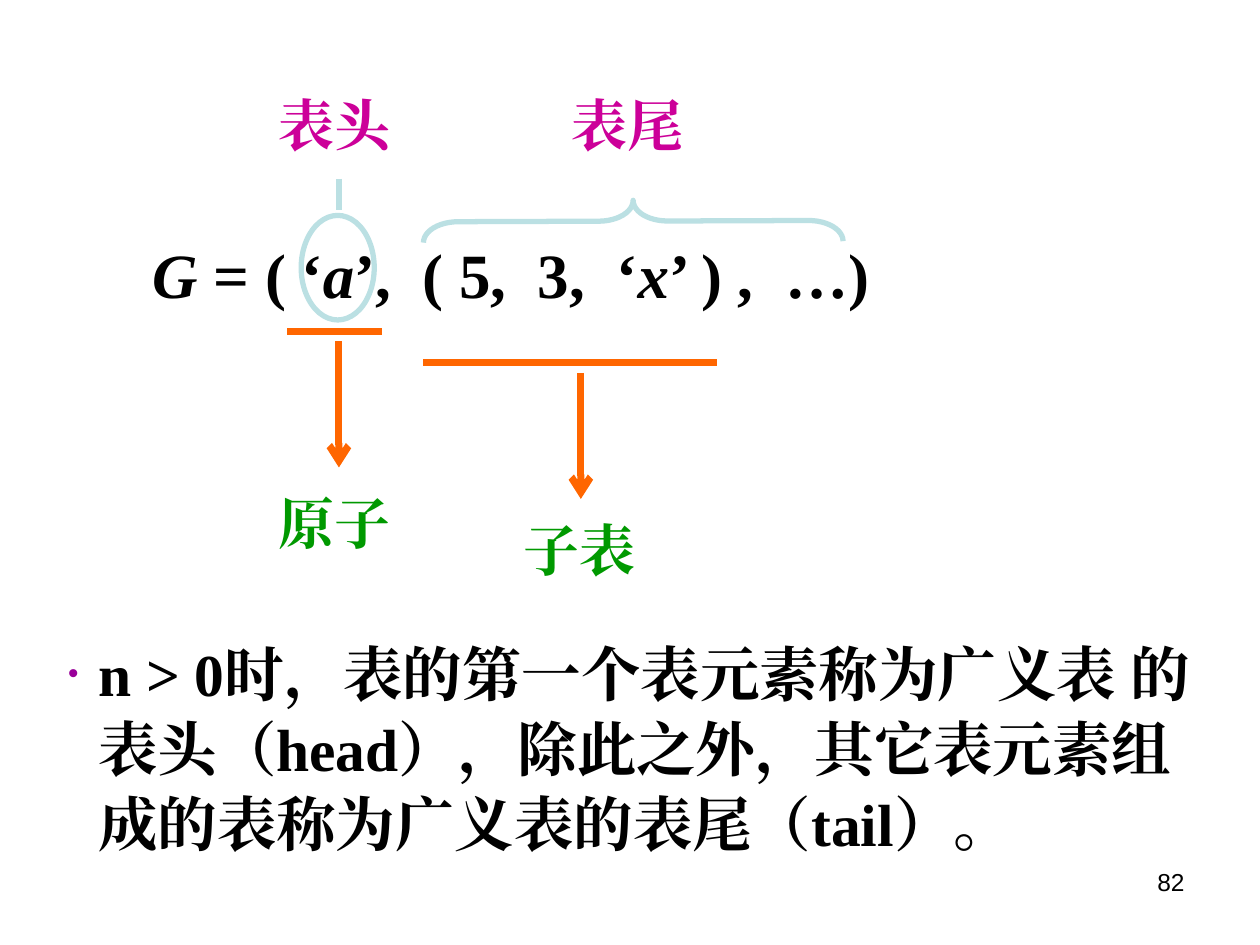
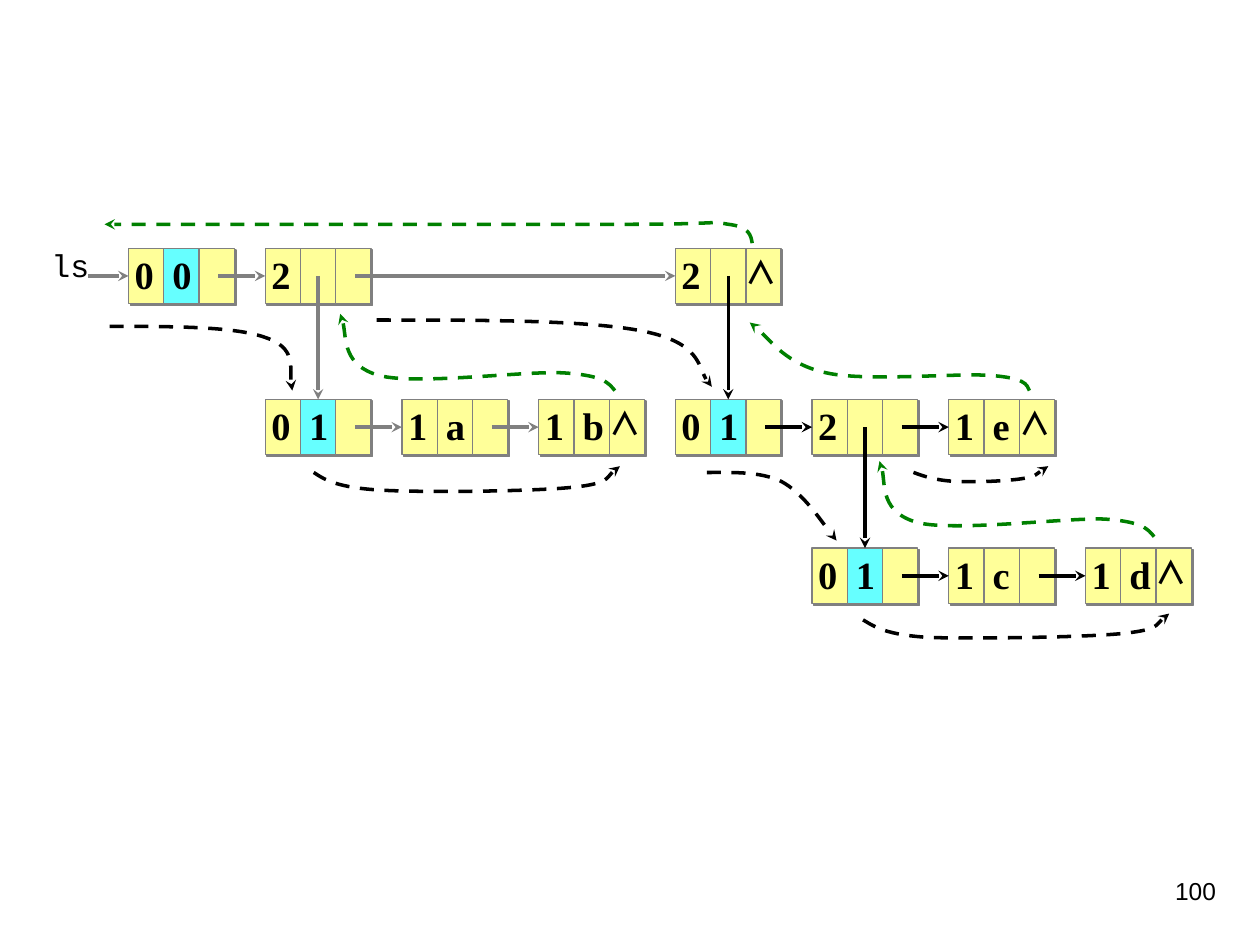
from lxml import etree
from pptx import Presentation, util as u
from pptx.dml.color import RGBColor
from pptx.enum import dml, shapes, text
from pptx.oxml import ns

# Shared look
BLACK, GREY, GREEN, ORANGE = "000000", "808080", "008000", "FF6600"
PALE_BLUE, YELLOW, CYAN = "BBE0E3", "FFFF99", "66FFFF"
MAGENTA, LEAF, PURPLE = "CC0099", "009900", "990099"
SERIF, SANS, MONO, CJK = "Times New Roman", "Arial", "Courier New", "Noto Sans CJK SC"

# List head and tail: text, left, top, colour
LABELS = [
    ("表头", 2.11, 0.67, MAGENTA), ("表尾", 4.44, 0.67, MAGENTA),
    ("原子", 2.11, 3.83, LEAF), ("子表", 4.06, 4.04, LEAF),
]
FORMULA = ["G", " = ( ‘", "a", "’,  ( 5,  3,  ‘", "x", "’ ) ,  …)"]  # every other run italic
DEFINITION = ("n > 0时，表的第一个表元素称为广义表 的表头（head），"
              "除此之外，其它表元素组成的表称为广义表的表尾（tail）。")
# Start, end, colour, width, arrowhead
MARKS = [
    ((2.28, 2.63), (3.03, 2.63), ORANGE, 4, None),
    ((3.36, 2.88), (5.69, 2.88), ORANGE, 4, None),
    ((2.69, 2.71), (2.69, 3.71), ORANGE, 4, "arrow"),
    ((4.61, 2.96), (4.61, 3.96), ORANGE, 4, "arrow"),
    ((2.69, 1.42), (2.69, 1.67), PALE_BLUE, 3, None),
]

# Linked nodes: (column, row) -> tag, content, whether it ends its list
NODES = {
    (0, 0): ("0", "0", False), (1, 0): ("2", "", False), (4, 0): ("2", "", True),
    (1, 1): ("0", "1", False), (2, 1): ("1", "a", False), (3, 1): ("1", "b", True),
    (4, 1): ("0", "1", False), (5, 1): ("2", "", False), (6, 1): ("1", "e", True),
    (5, 2): ("0", "1", False), (6, 2): ("1", "c", False), (7, 2): ("1", "d", True),
}
LINKS = [
    ((0, 0), (1, 0), GREY), ((1, 0), (4, 0), GREY), ((1, 0), (1, 1), GREY),
    ((1, 1), (2, 1), GREY), ((2, 1), (3, 1), GREY),
    ((4, 0), (4, 1), BLACK), ((4, 1), (5, 1), BLACK), ((5, 1), (6, 1), BLACK),
    ((5, 1), (5, 2), BLACK), ((5, 2), (6, 2), BLACK), ((6, 2), (7, 2), BLACK),
]
# Dashed curves: a start, then three Bézier points per segment
CURVES = [
    (BLACK, [(0.87, 2.59), (1.37, 2.59), (1.87, 2.59), (2.11, 2.68),
             (2.35, 2.76), (2.29, 3.02), (2.32, 3.1)]),
    (BLACK, [(2.49, 3.75), (2.58, 3.81), (2.68, 3.87), (3.02, 3.89), (3.36, 3.91),
             (4.21, 3.9), (4.52, 3.87), (4.84, 3.84), (4.85, 3.73), (4.92, 3.7)]),
    (GREEN, [(4.88, 3.1), (4.83, 3.04), (4.79, 2.98), (4.48, 2.96), (4.17, 2.94),
             (3.31, 3.06), (3.01, 2.98), (2.72, 2.9), (2.75, 2.57), (2.7, 2.49)]),
    (BLACK, [(2.99, 2.54), (3.83, 2.54), (4.67, 2.54), (5.11, 2.63),
             (5.55, 2.72), (5.56, 3), (5.65, 3.07)]),
    (BLACK, [(5.61, 3.75), (5.82, 3.75), (6.03, 3.74), (6.2, 3.82),
             (6.37, 3.91), (6.57, 4.21), (6.64, 4.29)]),
    (BLACK, [(6.85, 4.92), (6.95, 4.98), (7.04, 5.04), (7.38, 5.06), (7.72, 5.07),
             (8.57, 5.06), (8.89, 5.03), (9.2, 5), (9.22, 4.9), (9.28, 4.87)]),
    (GREEN, [(9.16, 4.26), (9.11, 4.2), (9.07, 4.14), (8.76, 4.12), (8.45, 4.11),
             (7.59, 4.22), (7.29, 4.15), (6.99, 4.07), (7.03, 3.74), (6.98, 3.66)]),
    (BLACK, [(7.25, 3.75), (7.33, 3.78), (7.42, 3.81), (7.56, 3.82), (7.71, 3.83),
             (7.98, 3.82), (8.11, 3.8), (8.23, 3.78), (8.28, 3.72), (8.32, 3.7)]),
    (GREEN, [(8.17, 3.1), (8.15, 3.05), (8.13, 3), (7.86, 2.98), (7.59, 2.96),
             (6.87, 3.03), (6.56, 2.96), (6.24, 2.89), (6.06, 2.63), (5.95, 2.56)]),
    (GREEN, [(5.97, 1.93), (5.96, 1.87), (5.95, 1.8), (5.78, 1.78), (5.61, 1.75),
             (5.79, 1.78), (4.96, 1.78), (4.14, 1.78), (1.52, 1.78), (0.83, 1.78)]),
]

# Node grid
FIRST_LEFT, FIFTH_LEFT = 1.02, 5.36
COLUMN_PITCH = (FIFTH_LEFT - FIRST_LEFT) / 4
ROW_TOPS = (1.97, 3.17, 4.35)
CELL, NODE_HEIGHT = 0.28, 0.44
NODE_WIDTH = 3 * CELL


def rgb(value):
    return RGBColor.from_string(value)


def add_xml(parent, tag, **attributes):
    return etree.SubElement(parent, ns.qn(tag), attributes)


def format_line(line, color, width, head=None):
    line.color.rgb = rgb(color)
    line.width = u.Pt(width)
    if head:
        add_xml(line._get_or_add_ln(), "a:tailEnd", type=head)


def format_runs(paragraph, size, font, color=BLACK, bold=True):
    for run in paragraph.runs:
        run.font.size, run.font.name, run.font.bold = u.Pt(size), font, bold
        run.font.color.rgb = rgb(color)
        add_xml(run._r.get_or_add_rPr(), "a:ea", typeface=font)


def add_text(slide, box, content, size, font, color=BLACK, bold=True, wrap=True):
    shape = slide.shapes.add_textbox(*map(u.Inches, box))
    frame = shape.text_frame
    frame.word_wrap = wrap
    if not wrap:
        frame.auto_size = text.MSO_AUTO_SIZE.SHAPE_TO_FIT_TEXT
    paragraph = frame.paragraphs[0]
    for part in content if isinstance(content, list) else [content]:
        paragraph.add_run().text = part
    format_runs(paragraph, size, font, color, bold)
    return paragraph


def add_shape(slide, kind, box, line_color, width, fill=None):
    shape = slide.shapes.add_shape(kind, *map(u.Inches, box))
    shape.shadow.inherit = False
    if fill:
        shape.fill.solid()
        shape.fill.fore_color.rgb = rgb(fill)
    else:
        shape.fill.background()
    format_line(shape.line, line_color, width)
    return shape


def add_line(slide, start, end, color, width, head=None):
    line = slide.shapes.add_connector(shapes.MSO_CONNECTOR.STRAIGHT,
                                      *map(u.Inches, (*start, *end)))
    format_line(line.line, color, width, head)
    add_xml(line._element.spPr, "a:effectLst")
    return line


def add_curve(slide, color, points):
    points = [(u.Inches(x), u.Inches(y)) for x, y in points]
    builder = slide.shapes.build_freeform(*points[0])
    builder.add_line_segments(points[1:], close=False)
    curve = builder.convert_to_shape()
    # Merge every three straight segments into one Bézier segment
    steps = list(curve._element.iter(ns.qn("a:lnTo")))
    for i in range(0, len(steps), 3):
        bezier = etree.Element(ns.qn("a:cubicBezTo"))
        steps[i].addprevious(bezier)
        for step in steps[i:i + 3]:
            bezier.append(step[0])
            step.getparent().remove(step)
    curve.fill.background()
    curve.shadow.inherit = False
    curve.line.dash_style = dml.MSO_LINE.DASH
    format_line(curve.line, color, 2, "stealth")


def add_page_number(slide, left, top, number):
    paragraph = add_text(slide, (left, top, 2.33, 0.52), number, 14, SANS, bold=False)
    paragraph.alignment = text.PP_ALIGN.RIGHT


def add_definition(slide):
    body = slide.placeholders[1]
    body.left, body.top, body.width, body.height = map(u.Inches, (0.44, 4.98, 9.18, 1.89))
    body.text_frame.text = DEFINITION
    body.text_frame.auto_size = text.MSO_AUTO_SIZE.NONE
    paragraph = body.text_frame.paragraphs[0]
    paragraph.line_spacing, paragraph.space_before = 1.05, u.Pt(8.5)
    format_runs(paragraph, 34, SERIF)
    properties = paragraph._p.get_or_add_pPr()
    indent = u.Inches(0.24)
    properties.set("marL", str(indent))
    properties.set("indent", str(-indent))
    add_xml(add_xml(properties, "a:buClr"), "a:srgbClr", val=PURPLE)
    add_xml(properties, "a:buSzPct", val="50000")
    add_xml(properties, "a:buChar", char="•")


def build_head_and_tail(slide):
    title = slide.shapes.title
    title._element.getparent().remove(title._element)
    formula = add_text(slide, (1.11, 1.79, 5.93, 0.73), FORMULA, 36, SERIF, wrap=False)
    formula.line_spacing = 1.05
    for i, run in enumerate(formula.runs):
        run.font.italic = i % 2 == 0
    for label, left, top, color in LABELS:
        paragraph = add_text(slide, (left, top, 1.09, 0.63), label, 32, SERIF, color, wrap=False)
        paragraph.space_before = u.Pt(8)
    for mark in MARKS:
        add_line(slide, *mark)
    # Ring around the head, brace over the tail
    add_shape(slide, shapes.MSO_SHAPE.OVAL, (2.39, 1.71, 0.58, 0.83), PALE_BLUE, 3)
    brace = add_shape(slide, shapes.MSO_SHAPE.LEFT_BRACE, (4.86, 0.09, 0.33, 3.33), PALE_BLUE, 3)
    brace.rotation = 89.8
    brace.adjustments[0] = 0.83
    add_definition(slide)
    add_page_number(slide, 7.17, 6.83, "82")


def node_corner(position):
    column, row = position
    return FIRST_LEFT + column * COLUMN_PITCH, ROW_TOPS[row]


def add_node(slide, position, content):
    left, top = node_corner(position)
    box = add_shape(slide, shapes.MSO_SHAPE.RECTANGLE, (left, top, NODE_WIDTH, NODE_HEIGHT),
                    GREY, 0.75, YELLOW)
    effects = box._element.spPr.find(ns.qn("a:effectLst"))
    shadow = add_xml(effects, "a:outerShdw", dist=str(u.Pt(1.4)), dir="2700000",
                     algn="ctr", rotWithShape="0")
    add_xml(shadow, "a:srgbClr", val=GREY)
    add_shape(slide, shapes.MSO_SHAPE.RECTANGLE, (left + CELL, top, CELL, NODE_HEIGHT),
              GREY, 0.75, CYAN if content[0] == "0" else YELLOW)
    return box


def add_node_text(slide, position, tag, value, last):
    left, top = node_corner(position)
    label = f"{tag}\t{value}" if value else tag
    paragraph = add_text(slide, (left - 0.05, top - 0.03, 0.78, 0.65), label, 22, SERIF)
    stops = add_xml(paragraph._p.get_or_add_pPr(), "a:tabLst")
    add_xml(stops, "a:tab", pos=str(u.Inches(0.3)), algn="l")
    if last:
        add_text(slide, (left + 0.46, top - 0.01, 0.52, 0.54), "∧", 18, CJK)


def build_linked_nodes(slide):
    boxes = {position: add_node(slide, position, content) for position, content in NODES.items()}
    # Links leave the middle cell downwards, the last cell sideways
    for source, target, color in LINKS:
        left, top = node_corner(source)
        down = source[0] == target[0]
        start = (left + NODE_WIDTH * (0.5 if down else 0.85), top + NODE_HEIGHT / 2)
        link = add_line(slide, start, node_corner(target), color, 2, "stealth")
        link.end_connect(boxes[target], 0 if down else 1)
    entry = add_line(slide, (0.7, 2.19), (1.02, 2.19), GREY, 2, "stealth")
    entry.end_connect(boxes[0, 0], 1)
    for position, content in NODES.items():
        add_node_text(slide, position, *content)
    add_text(slide, (0.31, 1.9, 0.64, 0.65), "ls", 18, MONO, bold=False)
    for color, points in CURVES:
        add_curve(slide, color, points)
    add_page_number(slide, 7.42, 6.9, "100")


def main():
    presentation = Presentation()
    presentation.slide_width, presentation.slide_height = u.Inches(10), u.Inches(7.5)
    layouts = presentation.slide_layouts
    build_head_and_tail(presentation.slides.add_slide(layouts[1]))
    build_linked_nodes(presentation.slides.add_slide(layouts[6]))
    presentation.save("out.pptx")


if __name__ == "__main__":
    main()
